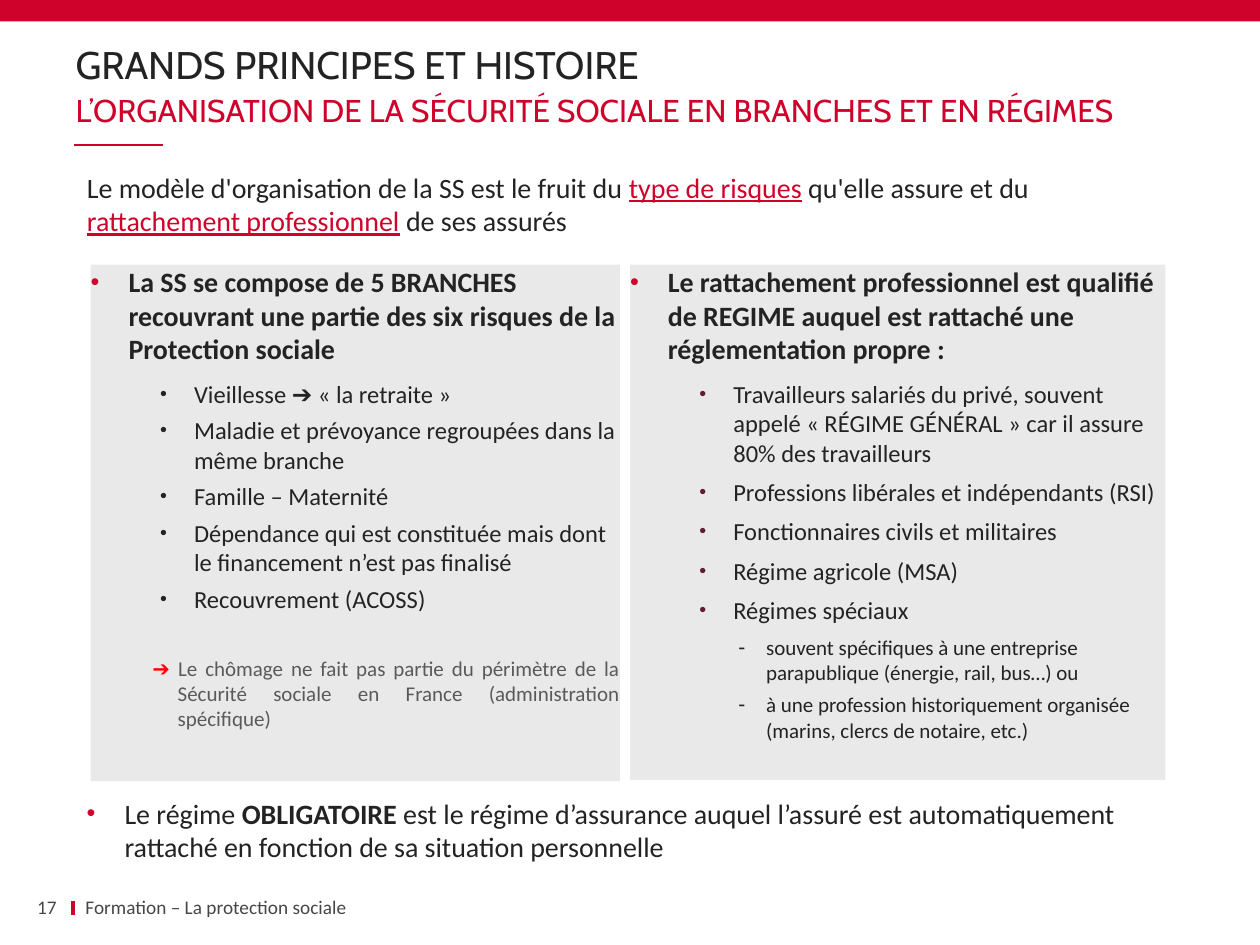
"""Build the slide on the branches and schemes of the French social security."""
from dataclasses import dataclass, replace
from typing import NamedTuple, Optional

from lxml.etree import SubElement
from pptx import Presentation
from pptx.dml.color import RGBColor
from pptx.enum.shapes import MSO_CONNECTOR as Connector, MSO_SHAPE as Preset
from pptx.enum.text import MSO_ANCHOR as Anchor, MSO_AUTO_SIZE as AutoSize, PP_ALIGN as Align
from pptx.oxml.ns import qn
from pptx.util import Inches, Pt

RED = RGBColor(0xCF, 0x02, 0x2B)
ARROW_RED = RGBColor(0xFF, 0x00, 0x00)
WINE = RGBColor(0x61, 0x1B, 0x32)
INK = RGBColor(0x23, 0x23, 0x23)
SLATE = RGBColor(0x46, 0x46, 0x46)
NOTE_GREY = RGBColor(0x5A, 0x5A, 0x5A)
PANEL_GREY = RGBColor(0xE9, 0xE9, 0xE9)

COLUMNS, ROWS = 100, 75
WIDTH, HEIGHT = Inches(10), Inches(7.5)
NO_INSETS = (0, 0, 0, 0)
HEADING_INSETS = (0, 0.5, 0, 0.5)
BOX_INSETS = (1, 0.5, 1, 0.5)


class Area(NamedTuple):
    """Place on the grid, in columns and rows."""
    left: float
    top: float
    width: float
    height: float


@dataclass(frozen=True)
class Style:
    """Look of one paragraph; margins in grid columns, spacing in points."""
    size: int
    color: RGBColor = INK
    font: str = "Calibri"
    bold: bool = False
    level: int = 0
    margin: float = 0
    hanging: float = 0
    before: float = 0
    after: float = 0
    line: float = 1
    bullet: str = ""
    bullet_color: Optional[RGBColor] = None
    bullet_share: int = 100
    align: Align = Align.LEFT


class Piece(NamedTuple):
    """Stretch of text that departs from the style of its paragraph."""
    text: str
    color: Optional[RGBColor] = None
    bold: bool = False
    underline: bool = False


class Line(NamedTuple):
    """Paragraph made of pieces in one style."""
    style: Style
    pieces: tuple


TITLE = Style(22, font="Cabin", line=0.9)
SUBTITLE = Style(18, RED, "Cabin")
INTRO = Style(16)
KEY_POINT = Style(16, margin=3, hanging=3, after=3.6, bullet="•", bullet_color=RED, bullet_share=90)
HEADING = replace(KEY_POINT, bold=True)
BRANCH = Style(14, level=1, margin=8.2, hanging=2.7, before=4.1, bullet="•", bullet_share=80)
REGIME = replace(BRANCH, after=1.6, bullet_color=WINE)
DETAIL = Style(12, level=2, margin=10.8, hanging=2.2, before=4.1, bullet="‐")
NOTE = Style(12, NOTE_GREY, level=1, margin=6.9, hanging=2, before=24, align=Align.JUSTIFY)
FOOTER = Style(11, SLATE)


def across(columns: float) -> int:
    return round(WIDTH * columns / COLUMNS)


def down(rows: float) -> int:
    return round(HEIGHT * rows / ROWS)


def lines(style: Style, *texts: str) -> list[Line]:
    return [Line(style, (Piece(text),)) for text in texts]


def set_bullet(paragraph, style: Style) -> None:
    properties = paragraph._p.get_or_add_pPr()
    properties.set("marL", str(across(style.margin)))
    properties.set("indent", str(-across(style.hanging)))
    if not style.bullet:
        SubElement(properties, qn("a:buNone"))
        return
    if style.bullet_color is None:
        SubElement(properties, qn("a:buClrTx"))
    else:
        color = SubElement(properties, qn("a:buClr"))
        SubElement(color, qn("a:srgbClr"), val=str(style.bullet_color))
    SubElement(properties, qn("a:buSzPct"), val=str(style.bullet_share * 1000))
    SubElement(properties, qn("a:buFont"), typeface="Arial")
    SubElement(properties, qn("a:buChar"), char=style.bullet)


def write_line(paragraph, line: Line) -> None:
    style = line.style
    set_bullet(paragraph, style)
    paragraph.level = style.level
    paragraph.alignment = style.align
    paragraph.line_spacing = style.line
    paragraph.space_before, paragraph.space_after = Pt(style.before), Pt(style.after)
    for piece in line.pieces:
        run = paragraph.add_run()
        run.text = piece.text
        run.font.name, run.font.size = style.font, Pt(style.size)
        run.font.bold = style.bold or piece.bold
        run.font.underline = piece.underline
        run.font.color.rgb = piece.color or style.color


def fill_text(shape, area: Area, content: list[Line], insets=BOX_INSETS, anchor=Anchor.TOP) -> None:
    shape.left, shape.top = across(area.left), down(area.top)
    shape.width, shape.height = across(area.width), down(area.height)
    frame = shape.text_frame
    frame.word_wrap, frame.auto_size, frame.vertical_anchor = True, AutoSize.NONE, anchor
    frame.margin_left, frame.margin_right = across(insets[0]), across(insets[2])
    frame.margin_top, frame.margin_bottom = down(insets[1]), down(insets[3])
    for number, line in enumerate(content):
        write_line(frame.add_paragraph() if number else frame.paragraphs[0], line)


def fill_panel(shape, area: Area, content: list[Line]) -> None:
    fill_text(shape, area, content, NO_INSETS)
    shape.fill.solid()
    shape.fill.fore_color.rgb = PANEL_GREY


def add_box(slide, area: Area, content: list[Line], insets=BOX_INSETS, anchor=Anchor.TOP) -> None:
    fill_text(slide.shapes.add_textbox(0, 0, 0, 0), area, content, insets, anchor)


def add_rule(slide, start: tuple, end: tuple, weight: float) -> None:
    rule = slide.shapes.add_connector(
        Connector.STRAIGHT, across(start[0]), down(start[1]), across(end[0]), down(end[1]))
    rule.line.color.rgb, rule.line.width = RED, Pt(weight)
    SubElement(rule._element.spPr, qn("a:effectLst"))


def main() -> None:
    deck = Presentation()
    deck.slide_width, deck.slide_height = WIDTH, HEIGHT
    slide = deck.slides.add_slide(deck.slide_layouts.get_by_name("Comparison"))
    title, subtitle, branches, intro, regimes = slide.placeholders

    band = slide.shapes.add_shape(Preset.RECTANGLE, 0, 0, WIDTH, down(1.7))
    band.shadow.inherit = False
    band.fill.solid()
    band.fill.fore_color.rgb = RED
    band.line.fill.background()
    add_rule(slide, (5.9, 11.5), (12.9, 11.5), 1)
    add_rule(slide, (5.8, 71.5), (5.8, 72.6), 2.25)

    fill_text(title, Area(6, 3.5, 88, 3.6), lines(TITLE, "GRANDS PRINCIPES ET HISTOIRE"),
              HEADING_INSETS, Anchor.MIDDLE)
    fill_text(subtitle, Area(6, 7.2, 88, 3),
              lines(SUBTITLE, "L’ORGANISATION DE LA SÉCURITÉ SOCIALE EN BRANCHES ET EN RÉGIMES"),
              HEADING_INSETS, Anchor.MIDDLE)
    fill_text(intro, Area(5.9, 13, 85, 6.4), [Line(INTRO, (
        Piece("Le modèle d'organisation de la SS est le fruit du "),
        Piece("type de risques", RED, underline=True),
        Piece(" qu'elle assure et du "),
        Piece("rattachement professionnel", RED, underline=True),
        Piece(" de ses assurés")))])

    fill_panel(branches, Area(7.2, 21, 42, 41), [
        *lines(HEADING, "La SS se compose de 5 BRANCHES recouvrant une partie des six risques "
                        "de la Protection sociale"),
        *lines(BRANCH, "Vieillesse ➔ « la retraite »",
               "Maladie et prévoyance regroupées dans la même branche",
               "Famille – Maternité",
               "Dépendance qui est constituée mais dont le financement n’est pas finalisé",
               "Recouvrement (ACOSS)"),
        Line(NOTE, (Piece("➔", ARROW_RED),
                    Piece(" Le chômage ne fait pas partie du périmètre de la Sécurité sociale "
                          "en France (administration spécifique)")))])
    fill_panel(regimes, Area(50, 21, 42.5, 40.9), [
        *lines(HEADING, "Le rattachement professionnel est qualifié de REGIME auquel est "
                        "rattaché une réglementation propre :"),
        *lines(REGIME, "Travailleurs salariés du privé, souvent appelé « RÉGIME GÉNÉRAL » "
                       "car il assure 80% des travailleurs",
               "Professions libérales et indépendants (RSI)",
               "Fonctionnaires civils et militaires",
               "Régime agricole (MSA)",
               "Régimes spéciaux"),
        *lines(DETAIL, "souvent spécifiques à une entreprise parapublique (énergie, rail, bus…) ou",
               "à une profession historiquement organisée (marins, clercs de notaire, etc.)")])

    add_box(slide, Area(5.9, 62.7, 85, 6.4), [Line(KEY_POINT, (
        Piece("Le régime "),
        Piece("OBLIGATOIRE", bold=True),
        Piece(" est le régime d’assurance auquel l’assuré est automatiquement rattaché "
              "en fonction de sa situation personnelle")))])
    add_box(slide, Area(1.3, 71.1, 3.2, 1.8), lines(replace(FOOTER, align=Align.RIGHT), "17"),
            HEADING_INSETS, Anchor.MIDDLE)
    add_box(slide, Area(5.8, 71.1, 49.7, 1.8), lines(FOOTER, "Formation – La protection sociale"),
            BOX_INSETS, Anchor.MIDDLE)
    deck.save("out.pptx")


if __name__ == "__main__":
    main()
